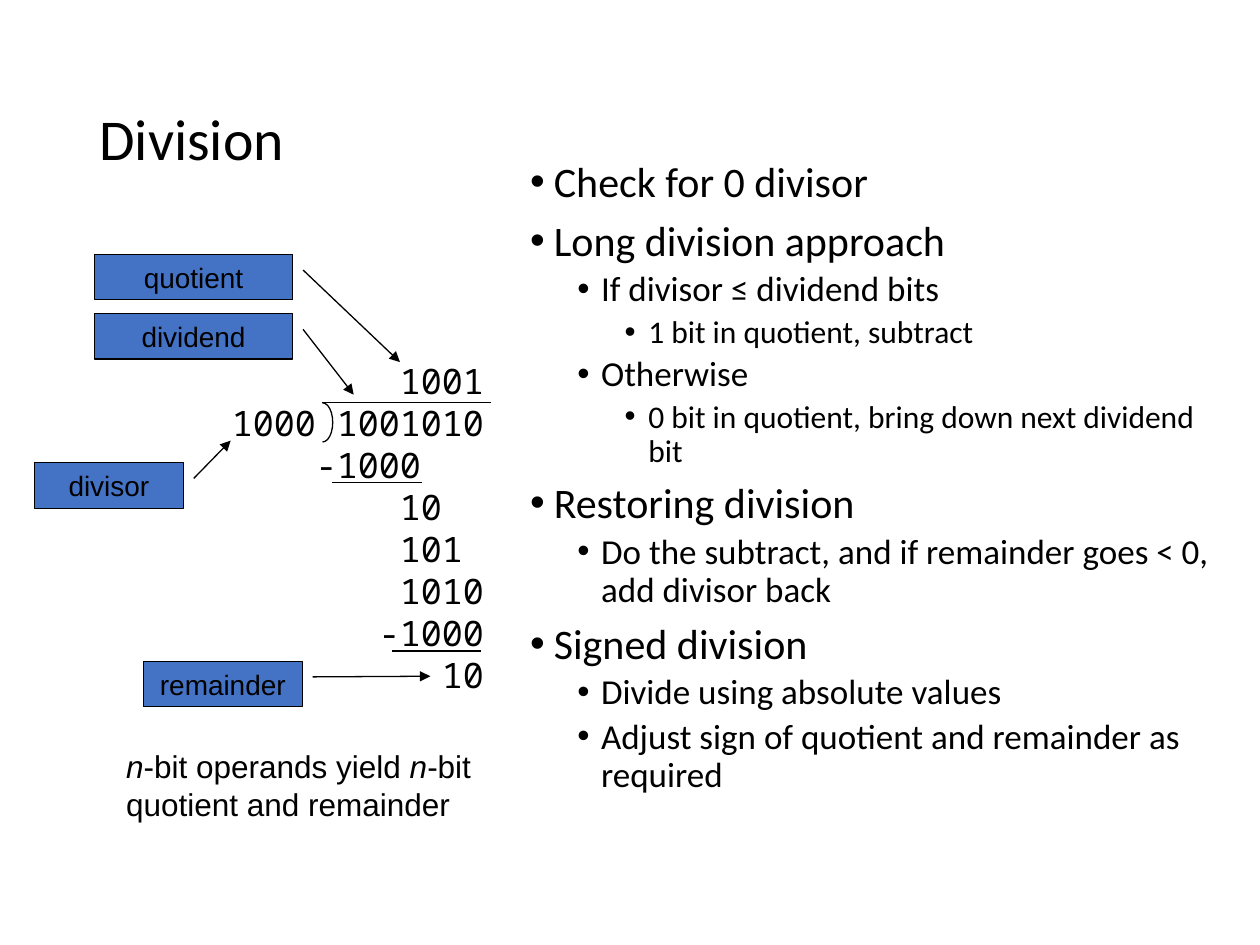
from typing import NamedTuple

from lxml import etree
from pptx import Presentation
from pptx.dml.color import RGBColor
from pptx.enum.shapes import MSO_CONNECTOR, MSO_SHAPE
from pptx.enum.text import MSO_ANCHOR, PP_ALIGN
from pptx.oxml.ns import qn
from pptx.util import Pt

STRAIGHT = MSO_CONNECTOR.STRAIGHT
CALLOUT = MSO_SHAPE.LINE_CALLOUT_1
BRACKET = MSO_SHAPE.RIGHT_BRACKET
TOP, MIDDLE = MSO_ANCHOR.TOP, MSO_ANCHOR.MIDDLE
CENTER = PP_ALIGN.CENTER

BLACK, BLUE = "000000", "4472C4"
SANS, BODY, MONO = "Arial", "Calibri", "Noto Sans Mono"
LINE_WIDTH = 0.75
DIGIT_WIDTH = 12
BULLET_HANG, LEVEL_STEP = 13.5, 27
LEVEL_SIZES = (24, 20, 18)
LEVEL_GAPS = (7.5, 3.75, 3.75)
CALLOUT_HEIGHT = 26


class Point(NamedTuple):
    level: int
    text: str


class WorkRow(NamedTuple):
    column: int
    digits: str


class Rule(NamedTuple):
    left: float
    right: float
    y: float


class Callout(NamedTuple):
    text: str
    left: float
    top: float
    width: float
    pointer: tuple[float, float, float, float]


POINTS = (
    Point(0, "Check for 0 divisor"),
    Point(0, "Long division approach"),
    Point(1, "If divisor ≤ dividend bits"),
    Point(2, "1 bit in quotient, subtract"),
    Point(1, "Otherwise"),
    Point(2, "0 bit in quotient, bring down next dividend bit"),
    Point(0, "Restoring division"),
    Point(1, "Do the subtract, and if remainder goes < 0, add divisor back"),
    Point(0, "Signed division"),
    Point(1, "Divide using absolute values"),
    Point(1, "Adjust sign of quotient and remainder as required"),
)
WORK_ROWS = (
    WorkRow(8, "1001"),
    WorkRow(0, "1000 1001010"),
    WorkRow(4, "-1000"),
    WorkRow(8, "10"),
    WorkRow(8, "101"),
    WorkRow(8, "1010"),
    WorkRow(7, "-1000"),
    WorkRow(10, "10"),
)
RULES = (Rule(184.3, 280.8, 230.2), Rule(190, 241, 275.8), Rule(224, 275, 372))
# Pointer values are y and x of the start, then y and x of the tip, as shares of the box.
CALLOUTS = (
    Callout("quotient", 54, 145.3, 113.2, (0.346, 1.053, 2.37, 1.542)),
    Callout("dividend", 54, 179.2, 113.2, (0.346, 1.053, 1.784, 1.309)),
    Callout("remainder", 82, 377.8, 90.7, (0.346, 1.066, 0.332, 1.807)),
    Callout("divisor", 19.7, 264.4, 85, (0.346, 1.071, -0.486, 1.319)),
)


def color(value: str) -> RGBColor:
    return RGBColor.from_string(value)


def add_box(page, left: float, top: float, width: float, height: float, *, anchor=TOP):
    """Add a wrapping text box and return its text frame."""
    box = page.shapes.add_textbox(Pt(left), Pt(top), Pt(width), Pt(height))
    box.text_frame.word_wrap = True
    box.text_frame.vertical_anchor = anchor
    return box.text_frame


def next_paragraph(frame, index: int):
    return frame.paragraphs[0] if index == 0 else frame.add_paragraph()


def add_span(paragraph, text: str, *, size: float, font: str, italic: bool = False):
    span = paragraph.add_run()
    span.text = text
    span.font.size = Pt(size)
    span.font.name = font
    span.font.italic = italic
    span.font.color.rgb = color(BLACK)


def set_indent(paragraph, margin: float, hang: float = 0):
    properties = paragraph._p.get_or_add_pPr()
    properties.set("marL", str(Pt(margin)))
    properties.set("indent", str(-Pt(hang)))
    return properties


def add_bullet(paragraph, level: int):
    properties = set_indent(paragraph, BULLET_HANG + level * LEVEL_STEP, BULLET_HANG)
    etree.SubElement(properties, qn("a:buFont"), typeface=SANS)
    etree.SubElement(properties, qn("a:buChar"), char="•")
    paragraph.level = level


def style_line(line):
    line.color.rgb = color(BLACK)
    line.width = Pt(LINE_WIDTH)


def add_title(page):
    paragraph = add_box(page, 49.7, 28.8, 621, 104.4, anchor=MIDDLE).paragraphs[0]
    paragraph.line_spacing = 0.9
    add_span(paragraph, "Division", size=33, font=BODY)


def add_points(page):
    frame = add_box(page, 295.9, 88.6, 409.5, 402.5)
    for index, point in enumerate(POINTS):
        paragraph = next_paragraph(frame, index)
        add_bullet(paragraph, point.level)
        paragraph.line_spacing = 0.9
        paragraph.space_before = Pt(LEVEL_GAPS[point.level] if index else 0)
        add_span(paragraph, point.text, size=LEVEL_SIZES[point.level], font=BODY)


def add_long_division(page):
    frame = add_box(page, 125.4, 202, 164, 199.4)
    for index, row in enumerate(WORK_ROWS):
        paragraph = next_paragraph(frame, index)
        set_indent(paragraph, row.column * DIGIT_WIDTH)
        add_span(paragraph, row.digits, size=20, font=MONO)
    for rule in RULES:
        add_rule(page, rule)
    add_bracket(page, 184.3, 230.2, 5.8, 22.4)


def add_rule(page, rule: Rule):
    line = page.shapes.add_connector(
        STRAIGHT, Pt(rule.left), Pt(rule.y), Pt(rule.right), Pt(rule.y))
    style_line(line.line)
    etree.SubElement(line._element.spPr, qn("a:effectLst"))


def add_bracket(page, left: float, top: float, width: float, height: float):
    bracket = page.shapes.add_shape(BRACKET, Pt(left), Pt(top), Pt(width), Pt(height))
    bracket.adjustments[0] = height / (2 * width)
    bracket.shadow.inherit = False
    bracket.fill.background()
    style_line(bracket.line)


def add_note(page):
    paragraph = add_box(page, 65, 423.4, 216, 50.4).paragraphs[0]
    for text, italic in (("n", True), ("-bit operands yield ", False),
                         ("n", True), ("-bit", False)):
        add_span(paragraph, text, size=18, font=SANS, italic=italic)
    paragraph.add_line_break()
    add_span(paragraph, "quotient and remainder", size=18, font=SANS)


def add_callout(page, callout: Callout):
    shape = page.shapes.add_shape(
        CALLOUT, Pt(callout.left), Pt(callout.top), Pt(callout.width), Pt(CALLOUT_HEIGHT))
    for index, share in enumerate(callout.pointer):
        shape.adjustments[index] = share
    shape.shadow.inherit = False
    shape.fill.solid()
    shape.fill.fore_color.rgb = color(BLUE)
    style_line(shape.line)
    etree.SubElement(shape.line._get_or_add_ln(), qn("a:tailEnd"), type="triangle")
    shape.text_frame.vertical_anchor = TOP
    paragraph = shape.text_frame.paragraphs[0]
    paragraph.alignment = CENTER
    add_span(paragraph, callout.text, size=16, font=SANS)


def main():
    deck = Presentation()
    deck.slide_width, deck.slide_height = Pt(720), Pt(540)
    page = deck.slides.add_slide(deck.slide_layouts[6])
    add_title(page)
    add_points(page)
    add_long_division(page)
    add_note(page)
    for callout in CALLOUTS:
        add_callout(page, callout)
    deck.save("out.pptx")


if __name__ == "__main__":
    main()
